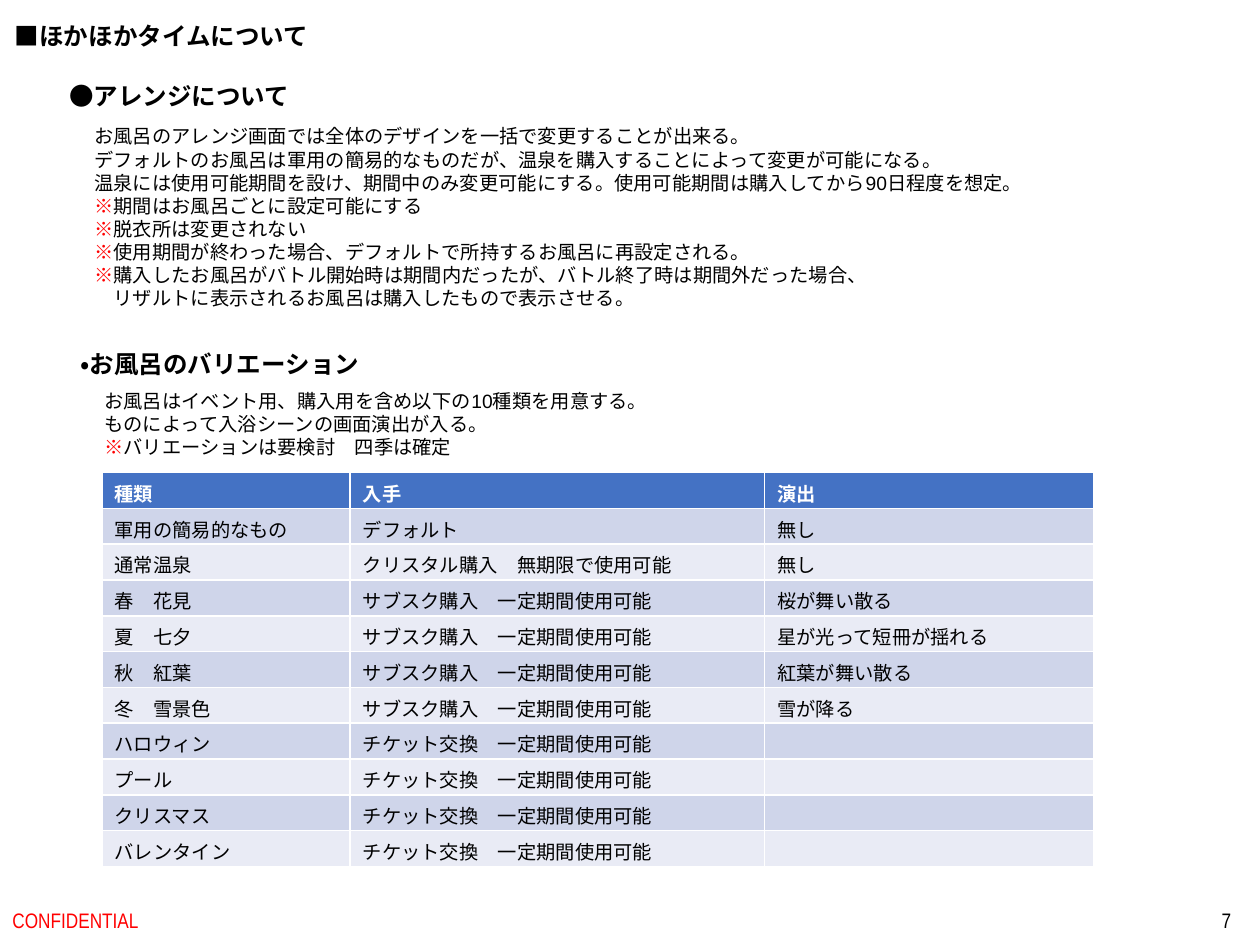
from pptx import Presentation
from pptx.dml.color import RGBColor
from pptx.enum.lang import MSO_LANGUAGE_ID
from pptx.enum.text import MSO_ANCHOR, MSO_AUTO_SIZE, PP_ALIGN
from pptx.oxml.ns import qn
from pptx.util import Inches, Pt
from lxml import etree

BLACK = RGBColor(0x00, 0x00, 0x00)
WHITE = RGBColor(0xFF, 0xFF, 0xFF)
RED = RGBColor(0xFF, 0x00, 0x00)
HEADER_BLUE = RGBColor(0x44, 0x72, 0xC4)
BANDS = (RGBColor(0xCF, 0xD5, 0xEA), RGBColor(0xE9, 0xEB, 0xF5))

BODY_FONT = "Arial"
ACCENT_FONT = "Quicksand"
FOOTER_FONT = "Arial Narrow"
BODY_SIZE = 11
MARK = "※"
LINE_BREAK = "\n"

SUBSCRIPTION = "サブスク購入　一定期間使用可能"
TICKET = "チケット交換　一定期間使用可能"
COLUMN_WIDTHS = (1.97, 3.29, 2.61)
VARIATIONS = (
    ("種類", "入手", "演出"),
    ("軍用の簡易的なもの", "デフォルト", "無し"),
    ("通常温泉", "クリスタル購入　無期限で使用可能", "無し"),
    ("春　花見", SUBSCRIPTION, "桜が舞い散る"),
    ("夏　七夕", SUBSCRIPTION, "星が光って短冊が揺れる"),
    ("秋　紅葉　", SUBSCRIPTION, "紅葉が舞い散る"),
    ("冬　雪景色", SUBSCRIPTION, "雪が降る"),
    ("ハロウィン", TICKET, ""),
    ("プール", TICKET, ""),
    ("クリスマス", TICKET, ""),
    ("バレンタイン", TICKET, ""),
)

ARRANGEMENT = (
    (BODY_FONT, ["お風呂のアレンジ画面では全体のデザインを一括で変更することが出来る。"]),
    (BODY_FONT, ["デフォルトのお風呂は軍用の簡易的なものだが、温泉を購入することによって変更が可能になる。"]),
    (BODY_FONT, ["温泉には使用可能期間を設け、期間中のみ変更可能にする。使用可能期間は購入してから90日程度を想定。"]),
    (BODY_FONT, [MARK, "期間はお風呂ごとに設定可能にする"]),
    (BODY_FONT, [MARK, "脱衣所は変更されない"]),
    (ACCENT_FONT, [
        MARK, "使用期間が終わった場合、デフォルトで所持するお風呂に再設定される。", LINE_BREAK,
        MARK, "購入したお風呂がバトル開始時は期間内だったが、バトル終了時は期間外だった場合、",
    ]),
    (ACCENT_FONT, ["　リザルトに表示されるお風呂は購入したもので表示させる。"]),
)
VARIATION_NOTES = (
    (BODY_FONT, ["お風呂はイベント用、購入用を含め以下の10種類を用意する。"]),
    (ACCENT_FONT, ["ものによって入浴シーンの画面演出が入る。"]),
    (BODY_FONT, [MARK, "バリエーションは要検討　四季は確定"]),
)


def add_run(paragraph, text, size, font=BODY_FONT, color=BLACK, bold=False):
    """Append one formatted run to a paragraph."""
    run = paragraph.add_run()
    run.text = text
    run.font.size = Pt(size)
    run.font.name = font
    run.font.bold = bold
    run.font.color.rgb = color
    run.font.language_id = MSO_LANGUAGE_ID.JAPANESE


def add_text_frame(slide, box):
    """Add a growing, unwrapped text box and return its frame."""
    frame = slide.shapes.add_textbox(*map(Inches, box)).text_frame
    frame.word_wrap = False
    frame.auto_size = MSO_AUTO_SIZE.SHAPE_TO_FIT_TEXT
    return frame


def add_heading(slide, box, text):
    """Place a bold section heading."""
    add_run(add_text_frame(slide, box).paragraphs[0], text, 14, bold=True)


def add_notes_block(slide, box, lines):
    """Place body lines with red reference marks."""
    frame = add_text_frame(slide, box)
    for index, (font, parts) in enumerate(lines):
        paragraph = frame.add_paragraph() if index else frame.paragraphs[0]
        for part in parts:
            if part == LINE_BREAK:
                paragraph.add_line_break()
            else:
                color = RED if part == MARK else BLACK
                add_run(paragraph, part, BODY_SIZE, font, color)


def add_footer(slide, box, text, color, alignment):
    """Place a footer text, centred vertically in its box."""
    frame = slide.shapes.add_textbox(*map(Inches, box)).text_frame
    frame.word_wrap = True
    frame.vertical_anchor = MSO_ANCHOR.MIDDLE
    frame.paragraphs[0].alignment = alignment
    add_run(frame.paragraphs[0], text, 12, FOOTER_FONT, color)


def fill_cell(cell, text, font, fill, color, bold):
    """Set the fill and text of one table cell."""
    cell.fill.solid()
    cell.fill.fore_color.rgb = fill
    paragraph = cell.text_frame.paragraphs[0]
    if text:
        add_run(paragraph, text, BODY_SIZE, font, color, bold)
    else:
        end = etree.SubElement(paragraph._p, qn("a:endParaRPr"))
        end.set("sz", str(BODY_SIZE * 100))


def add_variation_table(slide, box):
    """Place the banded table of bath variations."""
    shape = slide.shapes.add_table(len(VARIATIONS), len(COLUMN_WIDTHS), *map(Inches, box))
    table = shape.table
    for column, width in zip(table.columns, COLUMN_WIDTHS):
        column.width = Inches(width)
    for row, texts in enumerate(VARIATIONS):
        header = row == 0
        fill = HEADER_BLUE if header else BANDS[(row - 1) % 2]
        for column, text in enumerate(texts):
            font = ACCENT_FONT if column else BODY_FONT
            fill_cell(table.cell(row, column), text, font, fill, WHITE if header else BLACK, header)


def main():
    """Build and save the slide."""
    presentation = Presentation()
    presentation.slide_width = Inches(10)
    presentation.slide_height = Inches(7.5)
    slide = presentation.slides.add_slide(presentation.slide_layouts[6])
    add_heading(slide, (0.02, 0.12, 2.56, 0.34), "■ほかほかタイムについて")
    add_heading(slide, (0.45, 0.59, 1.97, 0.34), "●アレンジについて")
    add_notes_block(slide, (0.65, 0.94, 7.65, 1.58), ARRANGEMENT)
    add_heading(slide, (0.54, 2.72, 2.56, 0.34), "・お風呂のバリエーション")
    add_notes_block(slide, (0.73, 3.04, 4.56, 0.66), VARIATION_NOTES)
    add_variation_table(slide, (0.81, 3.75, 7.87, 3.13))
    add_footer(slide, (0, 7.1, 3.38, 0.4), "CONFIDENTIAL", RED, PP_ALIGN.LEFT)
    add_footer(slide, (7.62, 7.1, 2.25, 0.4), "7", BLACK, PP_ALIGN.RIGHT)
    presentation.save("out.pptx")


if __name__ == "__main__":
    main()
